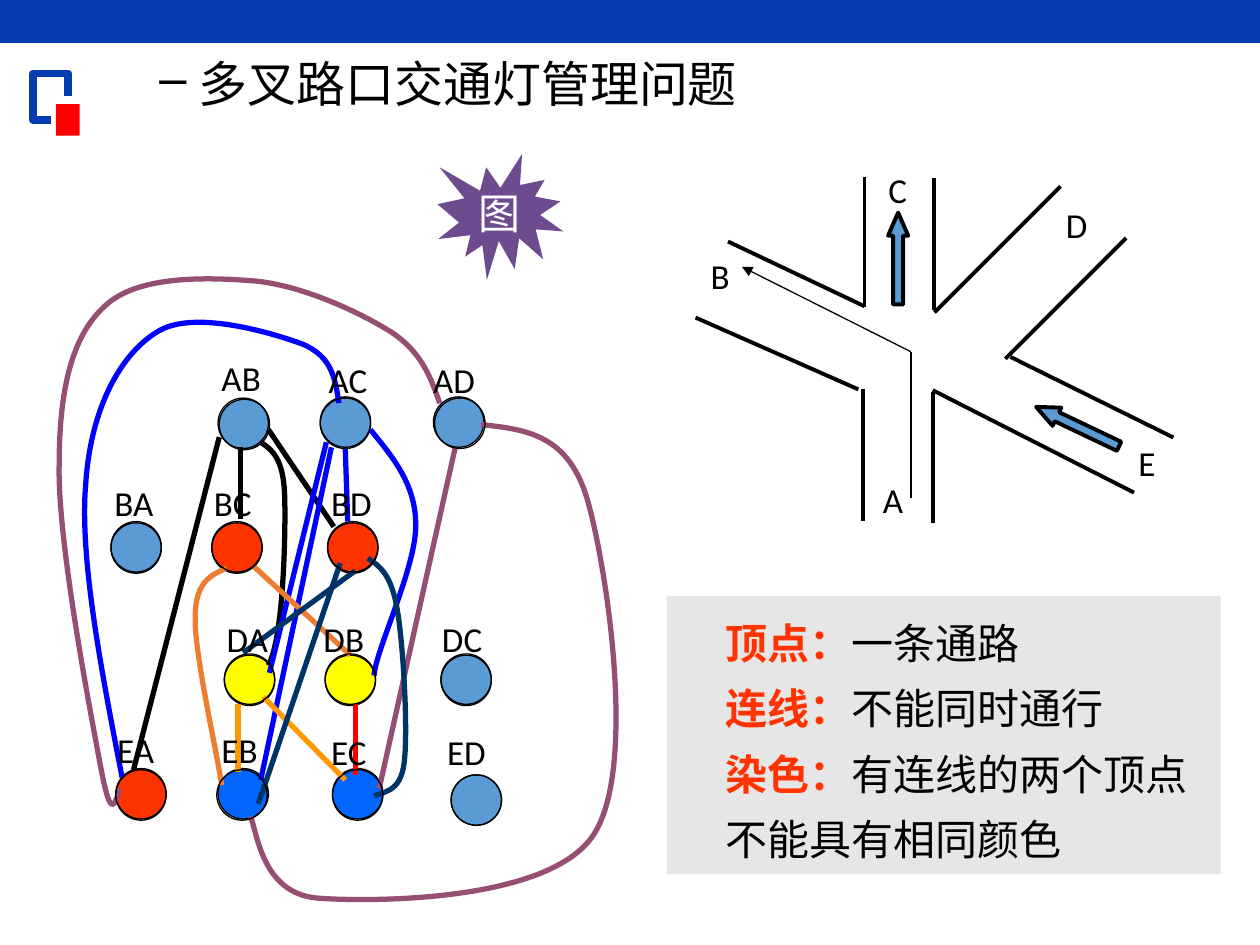
from dataclasses import dataclass

from lxml.etree import SubElement
from pptx import Presentation
from pptx.dml.color import RGBColor
from pptx.enum.shapes import MSO_CONNECTOR, MSO_SHAPE
from pptx.enum.text import MSO_ANCHOR, PP_ALIGN
from pptx.oxml.ns import qn
from pptx.util import Pt


@dataclass(frozen=True)
class Theme:
    black: str = "000000"
    white: str = "FFFFFF"
    banner: str = "053CAF"
    red: str = "FF0000"
    sky: str = "5B9BD5"
    vermilion: str = "FF3300"
    yellow: str = "FFFF00"
    azure: str = "0066FF"
    blue: str = "0000FF"
    plum: str = "954F72"
    orange: str = "ED7D31"
    amber: str = "FF9900"
    navy: str = "003366"
    violet: str = "6C4C8F"
    panel: str = "E6E6E6"
    font: str = "Calibri"
    title_font: str = "Times New Roman"
    title_size: int = 28
    body_size: int = 24
    label_size: int = 20


THEME = Theme()
TITLE = "多叉路口交通灯管理问题"
NOTES = [("顶点：", "一条通路"), ("连线：", "不能同时通行"),
         ("染色：", "有连线的两个顶点不能具有相同颜色")]
ROADS = [
    [(494, 101), (494, 175.5)], [(533.5, 102), (533.5, 177)],
    [(493, 222.5), (493, 298)], [(533, 224), (533, 299)],
    [(494, 175), (416, 138)], [(490.5, 222.5), (397.5, 181.5)],
    [(574.5, 205), (643.5, 136)], [(577.5, 204), (670.5, 250)],
    [(533, 223), (648, 281.5)], [(534, 178.5), (606, 106.5)],
]
ROAD_NAMES = [("C", 500.5, 93), ("E", 643.5, 249), ("D", 602, 113), ("A", 497.5, 270), ("B", 399, 142)]
TRAFFIC_ARROWS = [(507.5, 121.5, 0), (610, 217.5, 295.4)]
ROUTE = [(520.5, 284.5), (520.5, 201), (424, 152.5)]
DIAMETER = 28.8
NODES = [
    ("AB", (125.3, 228.2), THEME.sky, (119.5, 200), (-0.7, -0.7)),
    ("AC", (183, 226.8), THEME.sky, (180.7, 201.6), (0, 0.7)),
    ("AD", (247.7, 226.8), THEME.sky, (240.5, 201.6), (0.7, 0.7)),
    ("BA", (63.4, 298.8), THEME.sky, (58.3, 271.4), (0, -0.7)),
    ("BC", (121, 298.8), THEME.vermilion, (115.2, 271.4), (0, -0.7)),
    ("BD", (187.2, 298.8), THEME.vermilion, (182.2, 271.4), (0, -0.7)),
    ("DA", (128.2, 374.4), THEME.yellow, (122.4, 349.2), (0, -0.7)),
    ("DB", (185.8, 374.4), THEME.yellow, (177.8, 349.2), (0, -0.7)),
    ("DC", (252, 374.4), THEME.sky, (245.5, 349.2), (0, -0.7)),
    ("EA", (66.2, 439.2), THEME.vermilion, (59.8, 412.6), (0, 0.7)),
    ("EB", (124.6, 439.2), THEME.azure, (119.5, 412.6), (-0.7, 0.7)),
    ("EC", (190, 439.2), THEME.azure, (182.2, 414), (0, 0.7)),
    ("ED", (257.8, 442.8), THEME.sky, (248.4, 414), (0, 0)),
]
EDGES = [
    (THEME.black, [(125.3, 249.8), (76.3, 440)]),
    (THEME.black, [(137.5, 255.6), (137.5, 296.6)]),
    (THEME.black, [(149, 252.7), (155.5, 257), (162, 262), (162.7, 283),
                   (163.4, 304.6), (162, 365), (153.4, 380.2)]),
    (THEME.black, [(153.4, 245.5), (190.8, 301)]),
    (THEME.blue, [(193.7, 230.4), (191.5, 216.7), (190, 203.8), (172.8, 196.6),
                  (154.8, 190), (109.4, 176.4), (89.3, 190), (68.4, 203),
                  (51.8, 234), (49, 276.5), (45.4, 318.2), (57.6, 381.6), (69.8, 444.2)]),
    (THEME.blue, [(197.3, 256.3), (198.7, 298)]),
    (THEME.blue, [(211.7, 245.5), (224, 260.6), (237.6, 276.5), (237.6, 299.5),
                  (238.3, 323.3), (214.6, 371.5), (213.8, 386)]),
    (THEME.blue, [(186.5, 252.7), (154, 384.5)]),
    (THEME.blue, [(189.4, 255.6), (149, 445.7)]),
    (THEME.plum, [(251.3, 230.4), (246.2, 216), (241.2, 201.6), (224, 190),
                  (206, 178.6), (173.5, 163.4), (146.2, 160.6), (118.8, 158.4),
                  (78.5, 157), (59.8, 175), (41, 192.2), (33.8, 222.5), (33.8, 266.4),
                  (33, 310.3), (51.8, 407.5), (57.6, 438.5), (63.4, 469.4),
                  (65.5, 460), (68.4, 450.7)]),
    (THEME.plum, [(260, 256.3), (216.7, 450.7)]),
    (THEME.plum, [(275, 242.6), (300.2, 245.5), (325.4, 247.7), (336.2, 287.3),
                  (347, 326.2), (364.3, 440), (339, 477.4), (314, 514.8),
                  (216, 515.5), (183.6, 513.4), (151.2, 512), (147.6, 479.5), (143.3, 466.6)]),
    (THEME.orange, [(145.4, 324), (200.2, 374.4)]),
    (THEME.orange, [(129.6, 324.7), (121, 328.3), (111.6, 332), (111.6, 352.8),
                    (110.9, 373), (124.6, 432.7), (126.7, 448.6)]),
    (THEME.amber, [(136, 402.5), (136, 441.4)]),
    (THEME.amber, [(150.5, 398.2), (197.3, 445.7)]),
    (THEME.red, [(203, 402.5), (203, 442.8)]),
    (THEME.navy, [(139, 373), (203, 326.2)]),
    (THEME.navy, [(210.2, 319), (216.7, 323.3), (223.2, 327.6), (226.8, 347),
                  (230.4, 366.5), (233.3, 417.6), (231, 435.6), (229, 453.6),
                  (218.2, 452.2), (213.8, 455)]),
    (THEME.navy, [(194.4, 321.8), (147.6, 459.4)]),
]


def paint(line, color, width):
    line.color.rgb = RGBColor.from_string(color)
    line.width = Pt(width)


def add_preset(page, kind, place, fill=None, line_width=0):
    shape = page.shapes.add_shape(kind, *map(Pt, place))
    shape.shadow.inherit = False
    if fill:
        shape.fill.solid()
        shape.fill.fore_color.rgb = RGBColor.from_string(fill)
    else:
        shape.fill.background()
    if line_width:
        paint(shape.line, THEME.black, line_width)
    else:
        shape.line.fill.background()
    return shape


def add_stroke(page, points, color, width, arrow=False):
    (start_x, start_y), (end_x, end_y) = points
    connector = page.shapes.add_connector(
        MSO_CONNECTOR.STRAIGHT, Pt(start_x), Pt(start_y), Pt(end_x), Pt(end_y))
    paint(connector.line, color, width)
    if arrow:
        SubElement(connector.line._get_or_add_ln(), qn("a:tailEnd"), type="triangle")
    SubElement(connector._element.spPr, qn("a:effectLst"))


def add_outline(page, points, color, width, curved=False):
    first, *others = [(Pt(x), Pt(y)) for x, y in points]
    builder = page.shapes.build_freeform(*first)
    builder.add_line_segments(others, close=False)
    shape = builder.convert_to_shape()
    shape.shadow.inherit = False
    shape.fill.background()
    paint(shape.line, color, width)
    if curved:
        segments = shape._element.xpath(".//a:lnTo")
        for index in range(0, len(segments), 3):
            triple = segments[index:index + 3]
            curve = SubElement(triple[0].getparent(), qn("a:cubicBezTo"))
            for segment in triple:
                curve.append(segment[0])
                segment.getparent().remove(segment)


def style(font, size, color, name=THEME.font):
    font.name, font.size = name, Pt(size)
    font.color.rgb = RGBColor.from_string(color)


def add_label(page, text, left, top, width):
    box = page.shapes.add_textbox(Pt(left), Pt(top), Pt(width), Pt(31))
    para = box.text_frame.paragraphs[0]
    para.text = text
    style(para.font, THEME.label_size, THEME.black)


def add_header(page):
    add_preset(page, MSO_SHAPE.RECTANGLE, (0, 0, 720, 24.5), THEME.banner)
    bracket = [(29, 68.5), (19, 68.5), (19, 42), (39, 42), (39, 55)]
    add_outline(page, bracket, THEME.banner, 4.5)
    add_preset(page, MSO_SHAPE.RECTANGLE, (32, 59.5, 13.5, 18), THEME.red)
    box = page.shapes.add_textbox(Pt(48), Pt(30), Pt(396), Pt(39.5))
    box.text_frame.word_wrap = True
    box.text_frame.vertical_anchor = MSO_ANCHOR.MIDDLE
    para = box.text_frame.paragraphs[0]
    para.text = TITLE
    para.line_spacing = 0.9
    properties = para._p.get_or_add_pPr()
    properties.set("marL", str(Pt(58.5)))
    properties.set("indent", str(Pt(-22.5)))
    SubElement(properties, qn("a:buChar"), char="–")
    style(para.font, THEME.title_size, THEME.black, THEME.title_font)


def add_crossing(page):
    for road in ROADS:
        add_stroke(page, road, THEME.black, 2.25)
    for left, top, angle in TRAFFIC_ARROWS:
        arrow = add_preset(page, MSO_SHAPE.UP_ARROW, (left, top, 11.5, 52.5), THEME.sky, 2.25)
        arrow.adjustments[1] = 1.15
        arrow.rotation = angle
    for name, left, top in ROAD_NAMES:
        add_label(page, name, left, top, 28)


def add_graph(page):
    for _, (left, top), color, _, _ in NODES:
        add_preset(page, MSO_SHAPE.OVAL, (left, top, DIAMETER, DIAMETER), color, 0.75)
    for color, points in EDGES:
        if len(points) == 2:
            add_stroke(page, points, color, 3)
        else:
            add_outline(page, points, color, 3, curved=True)
    for name, _, _, (left, top), _ in NODES:
        add_label(page, name, left, top, 42)
    for _, (left, top), _, _, (shift_x, shift_y) in NODES:
        ring = (left + shift_x, top + shift_y, DIAMETER, DIAMETER)
        add_preset(page, MSO_SHAPE.OVAL, ring, line_width=0.75)


def add_burst(page):
    burst = add_preset(page, MSO_SHAPE.EXPLOSION1, (250, 88, 72, 72), THEME.violet)
    burst.text_frame.word_wrap = False
    para = burst.text_frame.paragraphs[0]
    para.text = "图"
    para.alignment = PP_ALIGN.CENTER
    style(para.font, THEME.body_size, THEME.white)


def add_notes_panel(page):
    panel = add_preset(page, MSO_SHAPE.RECTANGLE, (381, 340.5, 316.5, 159), THEME.panel)
    frame = panel.text_frame
    frame.word_wrap = True
    frame.vertical_anchor = MSO_ANCHOR.TOP
    for index, (term, meaning) in enumerate(NOTES):
        para = frame.add_paragraph() if index else frame.paragraphs[0]
        para.alignment = PP_ALIGN.LEFT
        para.line_spacing = 1.3
        para._p.get_or_add_pPr().set("marL", str(Pt(26.5)))
        for text, color, bold in ((term, THEME.vermilion, True), (meaning, THEME.black, False)):
            span = para.add_run()
            span.text = text
            style(span.font, THEME.body_size, color)
            span.font.bold = bold


def main():
    """Build the traffic light slide: road crossing, conflict graph and notes."""
    deck = Presentation()
    deck.slide_width, deck.slide_height = Pt(720), Pt(540)
    page = deck.slides.add_slide(deck.slide_layouts[6])
    add_header(page)
    add_crossing(page)
    add_graph(page)
    add_burst(page)
    add_stroke(page, ROUTE[:2], THEME.black, 0.75)
    add_stroke(page, ROUTE[1:], THEME.black, 0.75, arrow=True)
    add_notes_panel(page)
    deck.save("out.pptx")


if __name__ == "__main__":
    main()
